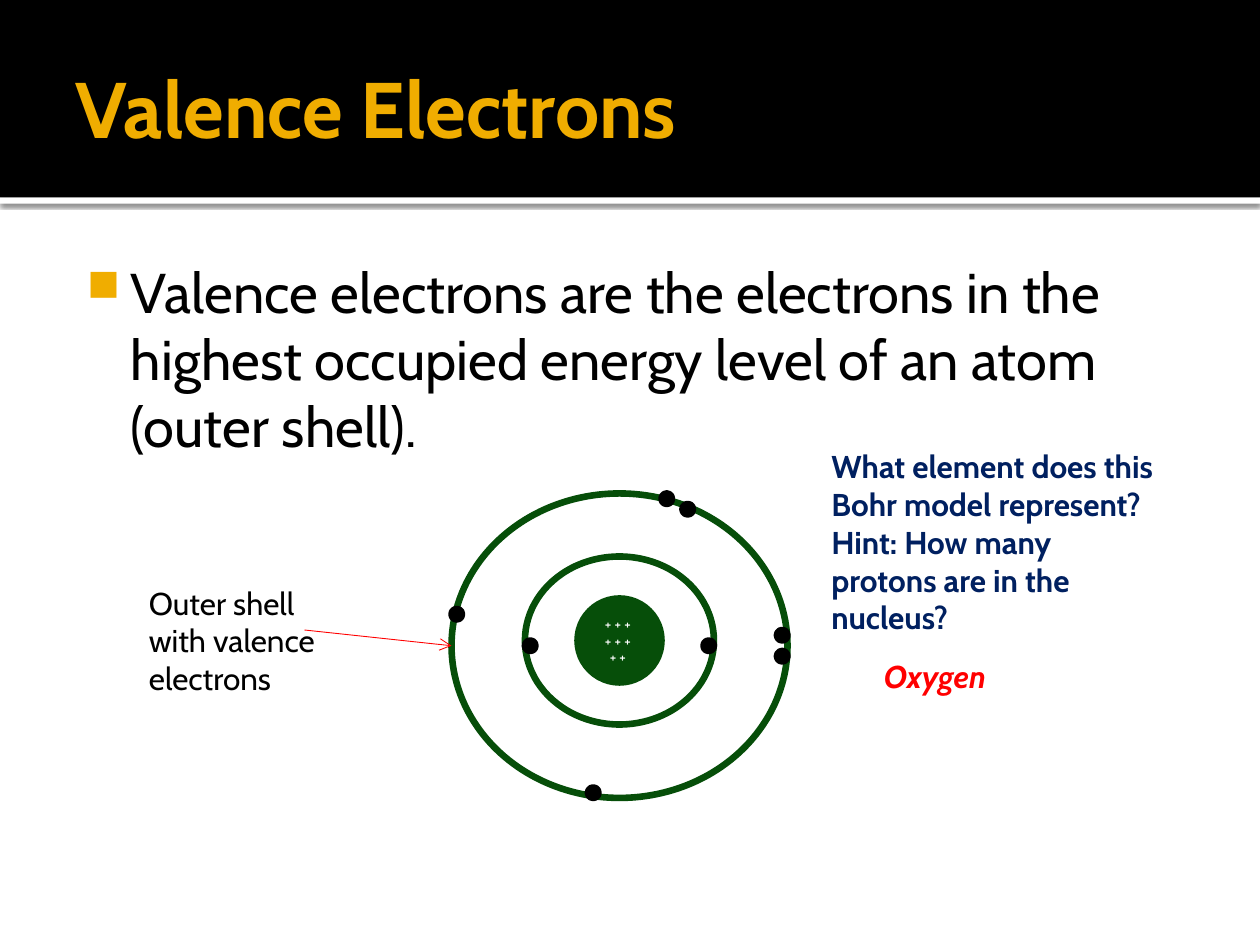
from lxml import etree
from pptx import Presentation
from pptx.dml.color import RGBColor
from pptx.enum.shapes import MSO_CONNECTOR, MSO_SHAPE
from pptx.enum.text import MSO_ANCHOR, PP_ALIGN
from pptx.oxml import parse_xml
from pptx.oxml.ns import nsdecls, qn
from pptx.util import Inches, Pt

OVAL, RECT = MSO_SHAPE.OVAL, MSO_SHAPE.RECTANGLE
STRAIGHT = MSO_CONNECTOR.STRAIGHT
TOP, MIDDLE, CENTER = MSO_ANCHOR.TOP, MSO_ANCHOR.MIDDLE, PP_ALIGN.CENTER

COLORS = {"black": "000000", "white": "FFFFFF", "gold": "F0AD00",
          "green": "064E09", "navy": "002060", "red": "FF0000"}
FONT = "Cabin"
CELL = Inches(1) / 12
COLUMNS, ROWS = 120, 90
ELECTRONS = [(31, 15), (0, 11), (13, 28), (31, 13),
             (22, 1), (20, 0), (7, 14), (24, 14)]


def cells(*lengths):
    return [round(length * CELL) for length in lengths]


def rgb(name):
    return RGBColor.from_string(COLORS[name])


def add_figure(page, kind, box, fill=None, line=None):
    figure = page.shapes.add_shape(kind, *cells(*box))
    figure.shadow.inherit = False
    if fill:
        figure.fill.solid()
        figure.fill.fore_color.rgb = rgb(fill)
    else:
        figure.fill.background()
    if line:
        figure.line.color.rgb = rgb(line)
        figure.line.width = Pt(3.78)
    else:
        figure.line.fill.background()
    return figure


def style_para(para, size, color, bold=False, italic=False):
    font = para.font
    font.name, font.size, font.bold, font.italic = FONT, Pt(size), bold, italic
    font.color.rgb = rgb(color)


def add_text(page, box, text, size, color, bold=False, italic=False,
             anchor=TOP, insets=(0.1, 0.05, 0.1, 0.05)):
    frame = page.shapes.add_textbox(*cells(*box)).text_frame
    frame.word_wrap = True
    frame.vertical_anchor = anchor
    (frame.margin_left, frame.margin_top,
     frame.margin_right, frame.margin_bottom) = [Inches(i) for i in insets]
    para = frame.paragraphs[0]
    para.text = text
    style_para(para, size, color, bold, italic)
    return para


def add_header(page, box):
    left, top, width, height = box
    strip = add_figure(page, RECT, (left, top + height, width, 0.6), "white")
    effects = strip._element.spPr.find(qn("a:effectLst"))
    effects.append(parse_xml(
        f'<a:outerShdw {nsdecls("a")} blurRad="{Pt(2.5)}" dist="{Pt(0.8)}" '
        f'dir="5400000" algn="tl" rotWithShape="0">'
        f'<a:srgbClr val="{COLORS["black"]}"><a:alpha val="60000"/></a:srgbClr>'
        f'</a:outerShdw>'))
    add_figure(page, RECT, box, "black")
    add_text(page, (left + 6, top + 2, width - 12, height - 2.4),
             "Valence Electrons", 45, "gold", bold=True, anchor=MIDDLE,
             insets=(0.1, 0.05, 0.05, 0.05))


def add_definition(page, box):
    para = add_text(
        page, box, "Valence electrons are the electrons in the highest "
        "occupied energy level of an atom (outer shell).", 32, "black",
        insets=(0.06, 0.1, 0.1, 0.05))
    props = para._p.get_or_add_pPr()
    props.set("marL", str(Inches(0.48)))
    props.set("indent", str(Inches(-0.35)))
    bullet = [parse_xml(f'<a:buClr {nsdecls("a")}>'
                        f'<a:srgbClr val="{COLORS["gold"]}"/></a:buClr>'),
              parse_xml(f'<a:buSzPct {nsdecls("a")} val="80000"/>'),
              parse_xml(f'<a:buChar {nsdecls("a")} char="■"/>')]
    for position, part in enumerate(bullet):
        props.insert(position, part)


def add_atom(page, box):
    left, top, width, height = box
    nucleus = add_figure(page, OVAL, (left + 12, top + 10, 8, 8),
                         "green", "green")
    frame = nucleus.text_frame
    frame.vertical_anchor = MIDDLE
    frame.text = "+ + + \n+ + + \n+ + "
    for para in frame.paragraphs:
        para.alignment = CENTER
        style_para(para, 8, "white")
    add_figure(page, OVAL, (left + 7, top + 6, 18, 16), line="green")
    add_figure(page, OVAL, box, line="green")
    for column, row in ELECTRONS:
        add_figure(page, OVAL, (left + column, top + row, 1, 1),
                   "black", "black")


def add_shell_label(page, box):
    left, top, width, height = box
    arrow = page.shapes.add_connector(
        STRAIGHT, *cells(left + 16, top + 5, left + 30, top + 6.5))
    arrow.line.color.rgb = rgb("red")
    arrow.line.width = Pt(0.5)
    etree.SubElement(arrow.line._get_or_add_ln(), qn("a:tailEnd"), type="arrow")
    etree.SubElement(arrow._element.spPr, qn("a:effectLst"))
    add_text(page, box, "Outer shell with valence electrons", 18, "black")


def add_question(page, box):
    left, top, width, height = box
    add_text(page, (left, top, width, height - 5),
             "What element does this Bohr model represent? "
             "Hint: How many protons are in the nucleus?",
             18, "navy", bold=True)
    add_text(page, (left + 5, top + 20, width - 11, 5),
             "Oxygen", 18, "red", bold=True, italic=True)


def main():
    deck = Presentation()
    deck.slide_width, deck.slide_height = cells(COLUMNS, ROWS)
    page = deck.slides.add_slide(deck.slide_layouts[6])
    add_header(page, (0, 0, COLUMNS, 18.8))
    add_definition(page, (6, 23.3, 108, 60.7))
    add_atom(page, (43, 47, 32, 29))
    add_shell_label(page, (13, 55, 22, 12))
    add_question(page, (78, 42, 33, 25))
    deck.save("out.pptx")


if __name__ == "__main__":
    main()
